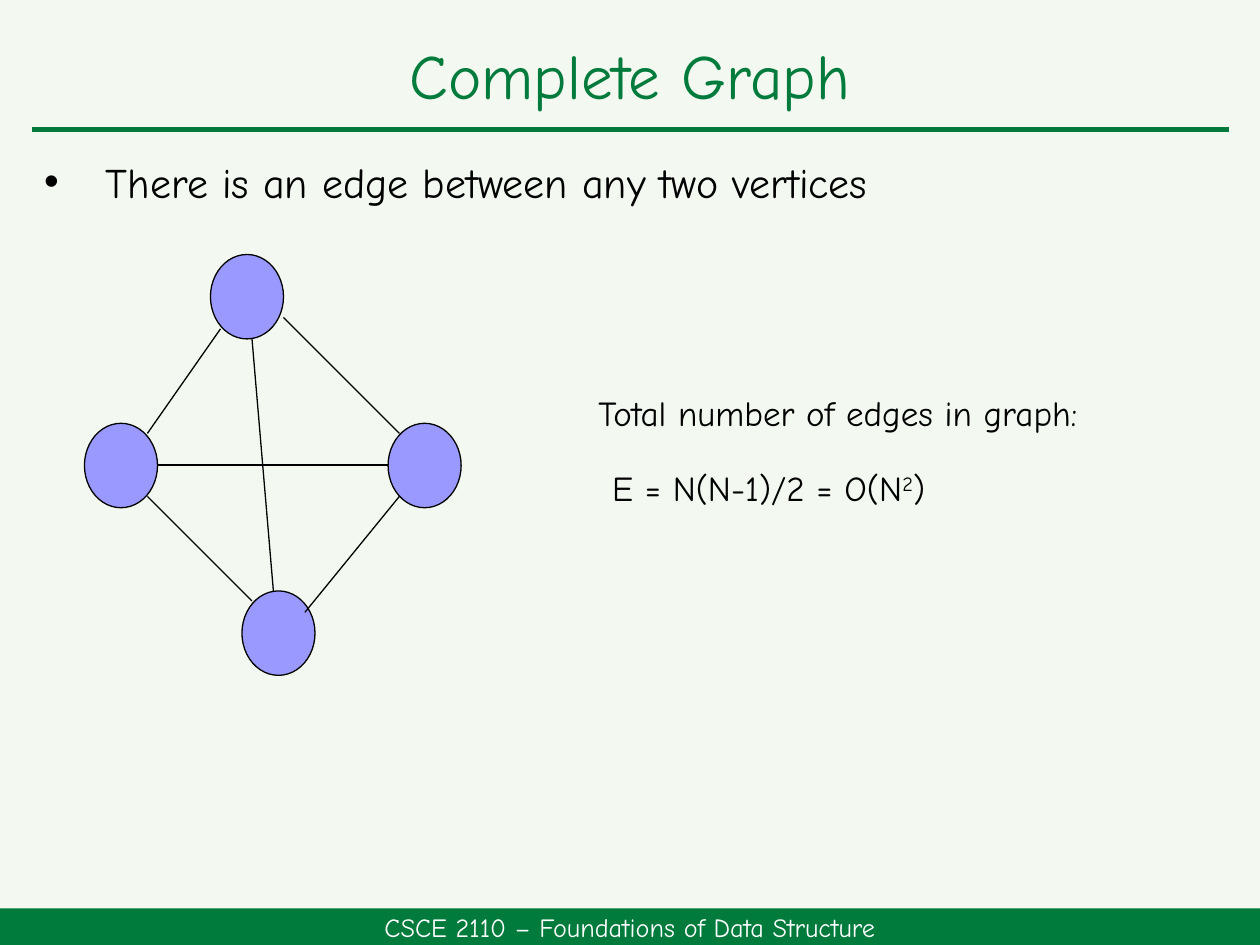
from lxml.etree import SubElement
from pptx import Presentation
from pptx.dml.color import RGBColor
from pptx.enum.shapes import MSO_CONNECTOR as CONN, MSO_SHAPE as SHAPE
from pptx.enum.text import MSO_ANCHOR as ANCHOR, MSO_AUTO_SIZE as FIT, PP_ALIGN as ALIGN
from pptx.oxml.ns import qn
from pptx.util import Inches, Pt

BACKGROUND = RGBColor(0xF3, 0xF9, 0xF0)
GREEN = RGBColor(0x00, 0x7B, 0x3B)
VIOLET = RGBColor(0x99, 0x99, 0xFF)
BLACK = RGBColor(0, 0, 0)
WHITE = RGBColor(255, 255, 255)


class SlideBuilder:
    font = "Comic Neue"

    def __init__(self, slide):
        self.slide = slide
        fill = slide.background.fill
        fill.solid()
        fill.fore_color.rgb = BACKGROUND

    def place(self, sp, box):
        sp.left, sp.top, sp.width, sp.height = map(Inches, box)

    def format(self, p, size, color, align=ALIGN.LEFT):
        p.alignment = align
        for r in p.runs:
            r.font.name = self.font
            r.font.size = Pt(size)
            r.font.color.rgb = color

    def indent(self, p, left, first=0):
        pPr = p._p.get_or_add_pPr()
        pPr.set("marL", str(Inches(left)))
        pPr.set("indent", str(Inches(first)))
        return pPr

    def title(self, text, box):
        sp = self.slide.shapes.title
        self.place(sp, box)
        tf = sp.text_frame
        tf.text = text
        tf.auto_size = FIT.NONE
        tf.vertical_anchor = ANCHOR.MIDDLE
        p = tf.paragraphs[0]
        p.line_spacing = 0.9
        self.format(p, 36, GREEN, ALIGN.CENTER)

    def bullet(self, text, box):
        sp = self.slide.placeholders[1]
        self.place(sp, box)
        tf = sp.text_frame
        tf.text = text
        tf.auto_size = FIT.NONE
        p = tf.paragraphs[0]
        p.space_before = Pt(0)
        pPr = self.indent(p, 0.49, -0.49)
        SubElement(pPr, qn("a:buFont"), typeface="Arial")
        SubElement(pPr, qn("a:buChar"), char="•")
        self.format(p, 24, BLACK)

    def formula(self, heading, parts, box):
        """Parts alternate between normal text and superscript."""
        tf = self.slide.shapes.add_textbox(*map(Inches, box)).text_frame
        tf.word_wrap = True
        tf.text = heading
        self.indent(tf.paragraphs[0], 0.27)
        p = tf.add_paragraph()
        self.indent(p, 0.38)
        p.space_before = Pt(19)
        for i, part in enumerate(parts):
            r = p.add_run()
            r.text = part
            if i % 2:
                r.font._element.set("baseline", "30000")
        for p in tf.paragraphs:
            self.format(p, 20, BLACK)

    def shape(self, kind, box, fill, line=None):
        sp = self.slide.shapes.add_shape(kind, *map(Inches, box))
        sp.shadow.inherit = False
        sp.fill.solid()
        sp.fill.fore_color.rgb = fill
        if line is None:
            sp.line.fill.background()
        else:
            sp.line.color.rgb = line
            sp.line.width = Pt(0.75)
        return sp

    def footer(self, text, box):
        tf = self.shape(SHAPE.RECTANGLE, box, GREEN).text_frame
        tf.margin_top = tf.margin_bottom = 0
        tf.vertical_anchor = ANCHOR.MIDDLE
        tf.text = text
        self.format(tf.paragraphs[0], 15, WHITE, ALIGN.CENTER)

    def line(self, start, end, color=BLACK, width=0.75):
        cx = self.slide.shapes.add_connector(CONN.STRAIGHT, *map(Inches, start + end))
        cx.line.color.rgb = color
        cx.line.width = Pt(width)
        SubElement(cx._element.spPr, qn("a:effectLst"))


def main():
    prs = Presentation()
    prs.slide_width, prs.slide_height = Inches(10), Inches(7.5)
    s = SlideBuilder(prs.slides.add_slide(prs.slide_layouts[1]))

    s.line((0.25, 1.03), (9.75, 1.03), GREEN, 3)
    s.footer("CSCE 2110 – Foundations of Data Structure", (0, 7.21, 10, 0.29))
    s.title("Complete Graph", (0.25, 0.23, 9.5, 0.8))
    s.bullet("There is an edge between any two vertices", (0.25, 1.19, 9.5, 0.83))
    s.formula("Total number of edges in graph:",
              ("E = N(N-1)/2 = O(N", "2", ")"), (4.38, 3.06, 4.92, 1.26))

    vertices = [(1.67, 2.02), (0.67, 3.36), (3.08, 3.36), (1.92, 4.69)]
    for corner in vertices:
        s.shape(SHAPE.OVAL, corner + (0.58, 0.67), VIOLET, BLACK)

    edges = [
        ((1.17, 3.44), (1.75, 2.61)),
        ((2, 2.69), (2.17, 4.69)),
        ((1.17, 3.94), (2, 4.77)),
        ((1.25, 3.69), (3.08, 3.69)),
        ((2.25, 2.52), (3.17, 3.44)),
        ((2.42, 4.86), (3.17, 3.94)),
    ]
    for start, end in edges:
        s.line(start, end)

    prs.save("out.pptx")


if __name__ == "__main__":
    main()
